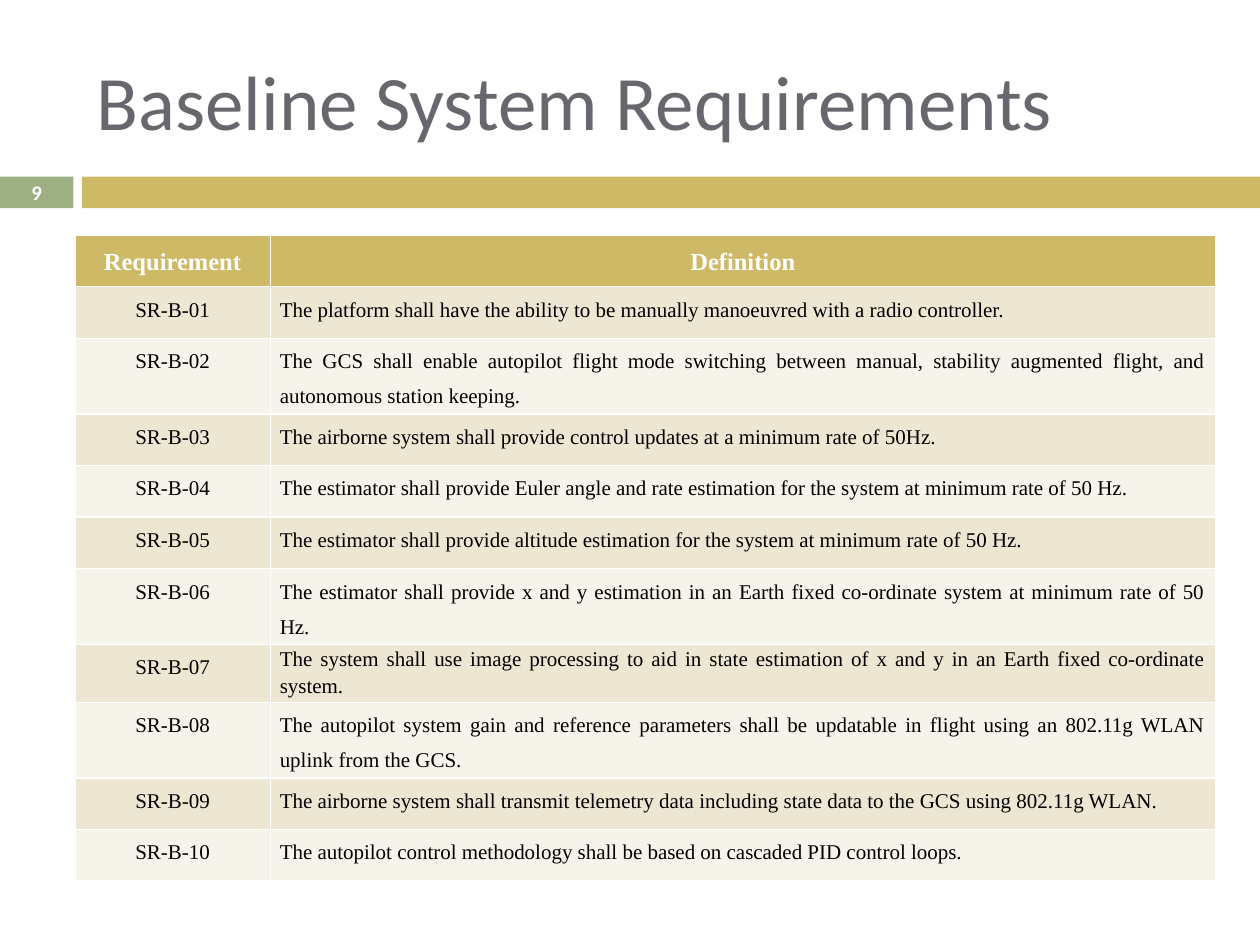
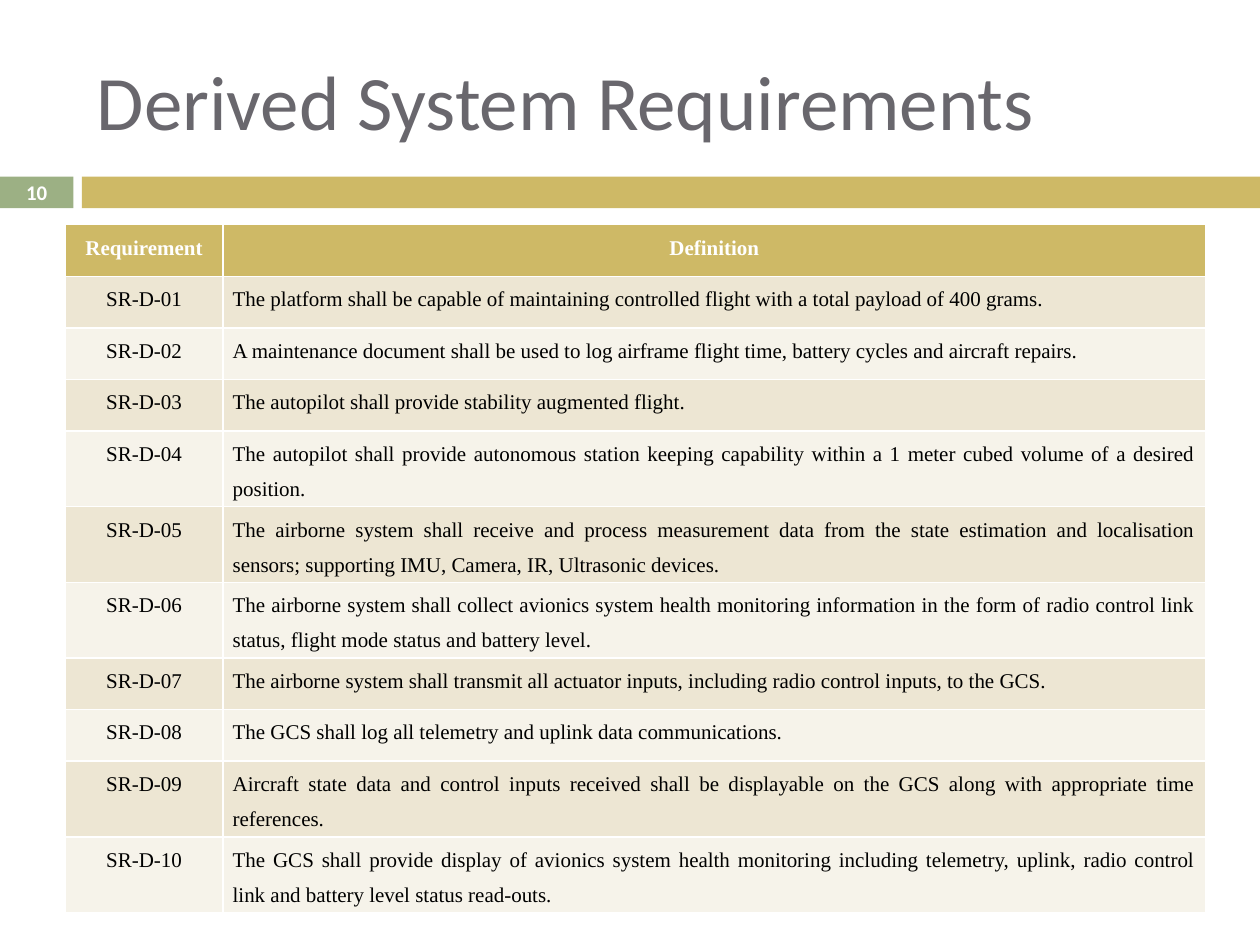
from dataclasses import dataclass

from pptx import Presentation
from pptx.dml.color import RGBColor
from pptx.enum.shapes import MSO_SHAPE
from pptx.enum.text import MSO_ANCHOR, MSO_AUTO_SIZE, PP_ALIGN
from pptx.util import Cm, Pt


@dataclass(frozen=True)
class Theme:
    title_color: str = "69676D"
    gold: str = "CEB966"
    sage: str = "9CB084"
    white: str = "FFFFFF"
    black: str = "000000"
    row_fills: tuple = ("F6F3EA", "EDE6D3")
    heading_font: str = "Calibri"
    table_font: str = "Times New Roman"
    title_size: float = 44
    number_size: float = 11.9
    body_size: float = 12


THEME = Theme()
LOOSE, TIGHT = 1.5, 1.15
TITLE_ONLY = 5
BANDS = [(0, 1.48, THEME.sage), (1.65, 23.75, THEME.gold)]  # left, width, colour

REQUIREMENT_SLIDES = [
    {
        "title": "Baseline System Requirements",
        "number": 9,
        "prefix": "SR-B",
        "corner": (1.51, 4.74),
        "columns": (3.94, 19.05),
        "header_size": 14,
        "tight_rows": {7},
        "definitions": [
            "The platform shall have the ability to be manually manoeuvred with a radio controller.",
            "The GCS shall enable autopilot flight mode switching between manual, stability augmented flight, "
            "and autonomous station keeping.",
            "The airborne system shall provide control updates at a minimum rate of 50Hz.",
            "The estimator shall provide Euler angle and rate estimation for the system at minimum rate of 50 Hz.",
            "The estimator shall provide altitude estimation for the system at minimum rate of 50 Hz.",
            "The estimator shall provide x and y estimation in an Earth fixed co-ordinate system "
            "at minimum rate of 50 Hz.",
            "The system shall use image processing to aid in state estimation of x and y "
            "in an Earth fixed co-ordinate system.",
            "The autopilot system gain and reference parameters shall be updatable in flight "
            "using an 802.11g WLAN uplink from the GCS.",
            "The airborne system shall transmit telemetry data including state data to the GCS using 802.11g WLAN.",
            "The autopilot control methodology shall be based on cascaded PID control loops.",
        ],
    },
    {
        "title": "Derived System Requirements",
        "number": 10,
        "prefix": "SR-D",
        "corner": (1.31, 4.53),
        "columns": (3.19, 19.8),
        "header_size": 12,
        "tight_rows": set(),
        "definitions": [
            "The platform shall be capable of maintaining controlled flight with a total payload of 400 grams.",
            "A maintenance document shall be used to log airframe flight time, battery cycles and aircraft repairs.",
            "The autopilot shall provide stability augmented flight.",
            "The autopilot shall provide autonomous station keeping capability "
            "within a 1 meter cubed volume of a desired position.",
            "The airborne system shall receive and process measurement data from the state estimation "
            "and localisation sensors; supporting IMU, Camera, IR, Ultrasonic devices.",
            "The airborne system shall collect avionics system health monitoring information "
            "in the form of radio control link status, flight mode status and battery level.",
            "The airborne system shall transmit all actuator inputs, including radio control inputs, to the GCS.",
            "The GCS shall log all telemetry and uplink data communications.",
            "Aircraft state data and control inputs received shall be displayable on the GCS "
            "along with appropriate time references.",
            "The GCS shall provide display of avionics system health monitoring including telemetry, uplink, "
            "radio control link and battery level status read-outs.",
        ],
    },
]


def add_run(paragraph, text, font, size, color, bold=False):
    run = paragraph.add_run()
    run.text = text
    run.font.name = font
    run.font.size = Pt(size)
    run.font.bold = bold
    run.font.color.rgb = RGBColor.from_string(color)


def fill_cell(cell, text, size, color, fill, align, spacing=LOOSE, after=6, bold=False):
    cell.fill.solid()
    cell.fill.fore_color.rgb = RGBColor.from_string(fill)
    cell.margin_left = cell.margin_right = Cm(0.19)
    cell.margin_top = cell.margin_bottom = 0
    paragraph = cell.text_frame.paragraphs[0]
    paragraph.alignment = align
    paragraph.line_spacing = spacing
    paragraph.space_before = Pt(6)
    paragraph.space_after = Pt(after)
    add_run(paragraph, text, THEME.table_font, size, color, bold)


deck = Presentation()
deck.slide_width, deck.slide_height = Cm(25.4), Cm(19.05)

for content in REQUIREMENT_SLIDES:
    slide = deck.slides.add_slide(deck.slide_layouts[TITLE_ONLY])

    for left, width, color in BANDS:
        band = slide.shapes.add_shape(MSO_SHAPE.RECTANGLE, Cm(left), Cm(3.56), Cm(width), Cm(0.64))
        band.shadow.inherit = False
        band.fill.solid()
        band.fill.fore_color.rgb = RGBColor.from_string(color)
        band.line.fill.background()

    title = slide.shapes.title
    title.left, title.top, title.width, title.height = Cm(1.7), Cm(0.64), Cm(22.66), Cm(2.74)
    title.text_frame.auto_size = MSO_AUTO_SIZE.NONE
    title.text_frame.vertical_anchor = MSO_ANCHOR.MIDDLE
    heading = title.text_frame.paragraphs[0]
    heading.alignment = PP_ALIGN.LEFT
    add_run(heading, content["title"], THEME.heading_font, THEME.title_size, THEME.title_color)

    page_number = slide.shapes.add_textbox(0, Cm(3.53), Cm(1.48), Cm(0.69)).text_frame
    page_number.word_wrap = True
    page_number.vertical_anchor = MSO_ANCHOR.MIDDLE
    page_number.margin_top = page_number.margin_bottom = 0
    page_number.paragraphs[0].alignment = PP_ALIGN.CENTER
    add_run(page_number.paragraphs[0], str(content["number"]), THEME.heading_font,
            THEME.number_size, THEME.white, bold=True)

    left, top = content["corner"]
    row_count = len(content["definitions"]) + 1
    requirements = slide.shapes.add_table(row_count, 2, Cm(left), Cm(top),
                                          Cm(sum(content["columns"])), Cm(1.04 * row_count)).table
    for column, width in zip(requirements.columns, content["columns"]):
        column.width = Cm(width)

    for column, label in enumerate(("Requirement", "Definition")):
        fill_cell(requirements.cell(0, column), label, content["header_size"], THEME.white,
                  THEME.gold, PP_ALIGN.CENTER, bold=True)

    for row, definition in enumerate(content["definitions"], start=1):
        row_fill = THEME.row_fills[row % 2]
        spacing = TIGHT if row in content["tight_rows"] else LOOSE
        fill_cell(requirements.cell(row, 0), f"{content['prefix']}-{row:02}", THEME.body_size,
                  THEME.black, row_fill, PP_ALIGN.CENTER)
        fill_cell(requirements.cell(row, 1), definition, THEME.body_size, THEME.black,
                  row_fill, PP_ALIGN.JUSTIFY, spacing, after=0)

deck.save("out.pptx")
